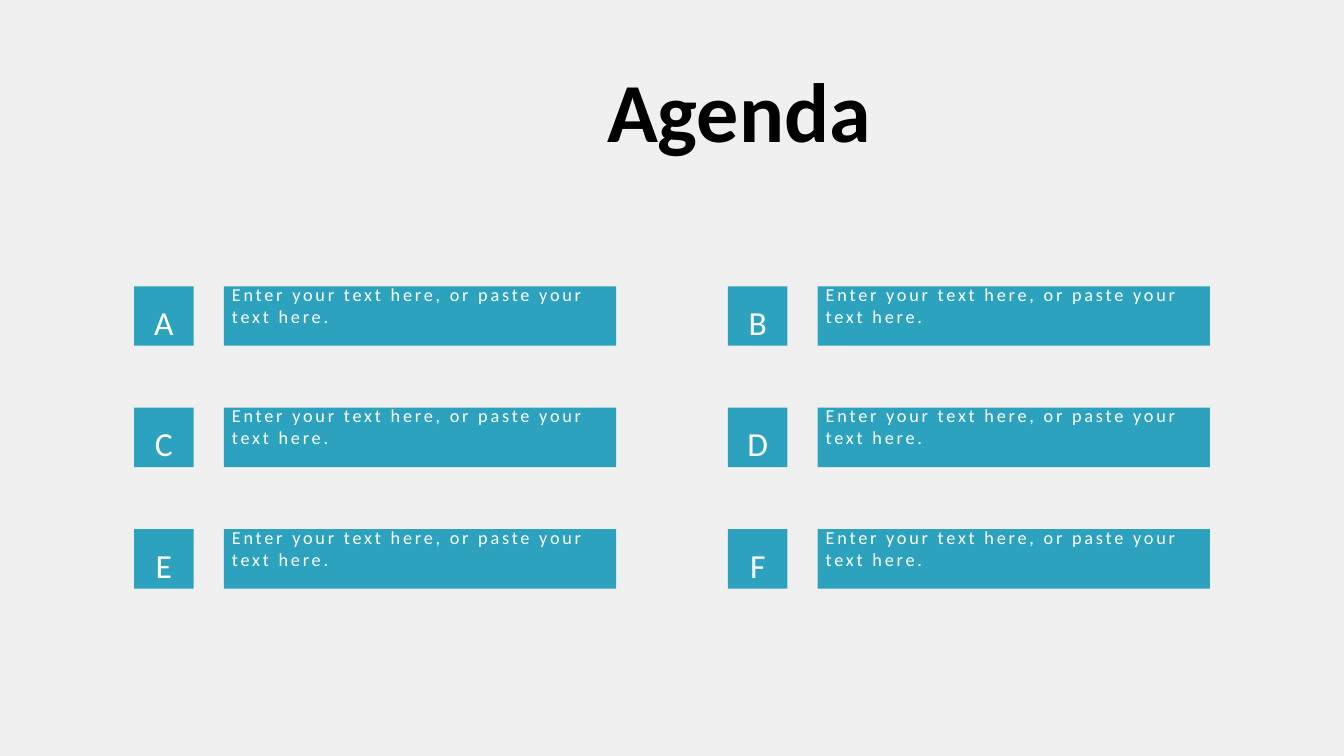
"""Build the agenda slide: six lettered entries in two columns."""
from pptx import Presentation
from pptx import util as u
from pptx.dml.color import RGBColor
from pptx.enum import shapes, text

HUES = {"back": "F0F0F0", "box": "2DA2BF", "light": "FEFFFF", "dark": "000000"}
ENTRY = "Enter your text here, or paste your text here."
LEFT, TOP = 1.33, 2.84
COL_STEP, ROW_STEP = 5.89, 1.205
SIDE, WIDTH, SHIFT = 0.59, 3.89, 0.89


def hue(name):
    """Return the named colour."""
    return RGBColor.from_string(HUES[name])


def write(shape, words, size, color="light", bold=False, align="LEFT",
          anchor="MIDDLE", inset=(0, 0, 0, 0), lead=None, track=None):
    """Put formatted text into a shape."""
    frame = shape.text_frame
    frame.word_wrap = True
    frame.auto_size = text.MSO_AUTO_SIZE.NONE
    frame.vertical_anchor = getattr(text.MSO_ANCHOR, anchor)
    (frame.margin_left, frame.margin_top,
     frame.margin_right, frame.margin_bottom) = map(u.Inches, inset)
    para = frame.paragraphs[0]
    para.alignment = getattr(text.PP_ALIGN, align)
    if lead:
        para.line_spacing = lead
    run = para.add_run()
    run.text = words
    font = run.font
    font.name, font.size, font.bold = "Calibri", u.Pt(size), bold
    font.color.rgb = hue(color)
    if track:
        font._element.set("spc", str(track * 100))


def head(slide, words):
    """Place and format the title."""
    title = slide.shapes.title
    title.left, title.top = u.Inches(4.85), u.Inches(0.53)
    title.width, title.height = u.Inches(4.96), u.Inches(1.11)
    write(title, words, 60, color="dark", bold=True, align="CENTER",
          anchor="TOP", inset=(0.1, 0.05, 0.1, 0.05))


def box(slide, left, top, width):
    """Add a plain filled rectangle."""
    rect = slide.shapes.add_shape(
        shapes.MSO_SHAPE.RECTANGLE, u.Inches(left), u.Inches(top),
        u.Inches(width), u.Inches(SIDE))
    rect.shadow.inherit = False
    rect.fill.solid()
    rect.fill.fore_color.rgb = hue("box")
    rect.line.fill.background()
    return rect


def entry(slide, letter, left, top):
    """Add one agenda bar with its letter tile."""
    bar = box(slide, left + SHIFT, top, WIDTH)
    write(bar, ENTRY, 13, inset=(0.08, 0, 0, 0.22), track=2)
    tile = box(slide, left, top, SIDE)
    write(tile, letter, 24, align="CENTER", lead=1.3)


def main():
    """Build and save the slide."""
    deck = Presentation()
    deck.slide_width, deck.slide_height = u.Inches(13.33), u.Inches(7.5)
    slide = deck.slides.add_slide(deck.slide_layouts[5])
    slide.background.fill.solid()
    slide.background.fill.fore_color.rgb = hue("back")
    head(slide, "Agenda")
    for index, letter in enumerate("ABCDEF"):
        row, col = divmod(index, 2)
        entry(slide, letter, LEFT + col * COL_STEP, TOP + row * ROW_STEP)
    deck.save("out.pptx")


if __name__ == "__main__":
    main()
